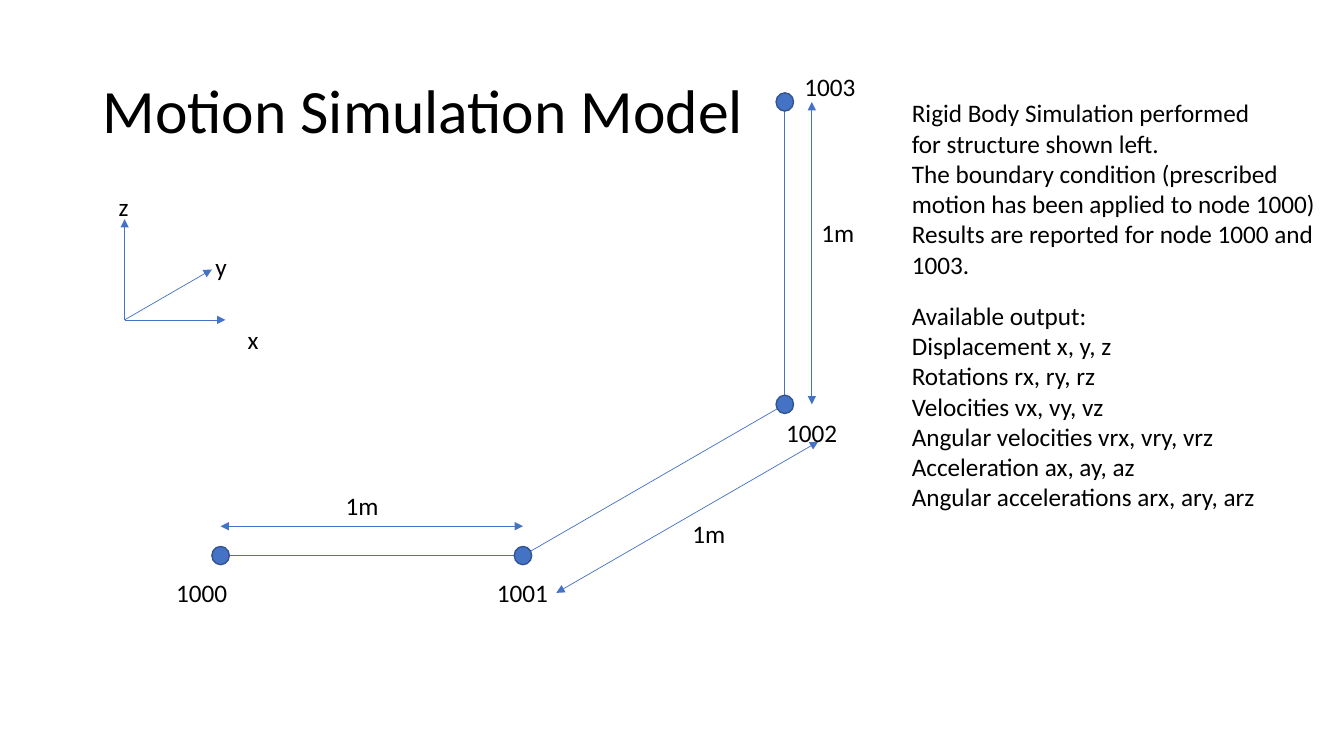
"""Build the slide that shows a rigid body motion model with its nodes and axes."""
from math import cos, radians, sin

from lxml import etree
from pptx import Presentation
from pptx.dml.color import RGBColor
from pptx.enum.shapes import MSO_CONNECTOR, MSO_SHAPE
from pptx.enum.text import MSO_ANCHOR, MSO_AUTO_SIZE
from pptx.oxml.ns import qn
from pptx.util import Cm, Pt

STRAIGHT = MSO_CONNECTOR.STRAIGHT
OVAL = MSO_SHAPE.OVAL
MIDDLE = MSO_ANCHOR.MIDDLE
GROW = MSO_AUTO_SIZE.SHAPE_TO_FIT_TEXT

COLORS = {"blue": "4472C4", "edge": "325491", "text": "000000"}
TITLE = "Motion Simulation Model"
METER = 7.62
AXIS = 2.54
NODE_W, NODE_H = 0.44, 0.46
LABEL_H = 1.03
START = (5.56, 14.0)
ORIGIN = (3.14, 8.06)

# fmt: off
MEMBERS = [
    {"angle": 0, "offset": (0, -0.74)},
    {"angle": 30, "offset": (0.84, 0.94)},
    {"angle": 90, "offset": (0.68, 0)},
]
# fmt: on
AXIS_ANGLES = [90, 0, 30]
LABELS = [
    ("1000", 4.19, 14.43, 1.8),
    ("1001", 12.27, 14.43, 1.8),
    ("1002", 19.56, 10.39, 1.8),
    ("1003", 20.02, 1.68, 1.8),
    ("1m", 8.46, 12.22, 1.35),
    ("1m", 20.45, 5.36, 1.35),
    ("1m", 17.2, 12.93, 1.35),
    ("x", 5.99, 8.05, 0.79),
    ("y", 5.18, 6.2, 0.81),
    ("z", 2.74, 4.7, 0.79),
]
SETUP = [
    "Rigid Body Simulation performed",
    "for structure shown left.",
    "The boundary condition (prescribed\vmotion has been applied to node 1000)",
    "Results are reported for node 1000 and",
    "1003.",
]
OUTPUT = [
    "Available output:",
    "Displacement x, y, z",
    "Rotations rx, ry, rz",
    "Velocities vx, vy, vz",
    "Angular velocities vrx, vry, vrz",
    "Acceleration ax, ay, az",
    "Angular accelerations arx, ary, arz",
]
NOTES = [(SETUP, 22.73, 2.34, 10.82, 4.88), (OUTPUT, 22.73, 7.44, 9.25, 5.64)]


def rgb(name):
    return RGBColor.from_string(COLORS[name])


def write(tf, lines, size):
    tf.text = "\n".join(lines)
    font = {"name": "Calibri", "size": Pt(size)}
    for p in tf.paragraphs:
        for r in p.runs:
            for key, value in font.items():
                setattr(r.font, key, value)
            r.font.color.rgb = rgb("text")


def add_text(s, lines, *box):
    tf = s.shapes.add_textbox(*map(Cm, box)).text_frame
    tf.word_wrap = False
    tf.auto_size = GROW
    write(tf, lines, 18)


def add_line(s, start, end, arrows=()):
    line = s.shapes.add_connector(STRAIGHT, *map(Cm, start + end))
    line.line.color.rgb = rgb("blue")
    line.line.width = Pt(0.5)
    ln = line.line._get_or_add_ln()
    for tag in arrows:
        etree.SubElement(ln, qn(tag), type="triangle")
    etree.SubElement(line._element.spPr, qn("a:effectLst"))


def add_node(s, x, y):
    box = (x - NODE_W / 2, y - NODE_H / 2, NODE_W, NODE_H)
    node = s.shapes.add_shape(OVAL, *map(Cm, box))
    node.shadow.inherit = False
    node.fill.solid()
    node.fill.fore_color.rgb = rgb("blue")
    node.line.color.rgb = rgb("edge")
    node.line.width = Pt(1)


def shift(point, dx, dy):
    return (point[0] + dx, point[1] + dy)


def along(point, length, angle):
    a = radians(angle)
    return shift(point, length * cos(a), -length * sin(a))


def main():
    prs = Presentation()
    prs.slide_width, prs.slide_height = Cm(33.87), Cm(19.05)
    s = prs.slides.add_slide(prs.slide_layouts[5])

    title = s.shapes.title
    box = {"left": 2.33, "top": 1.01, "width": 29.21, "height": 3.68}
    for key, value in box.items():
        setattr(title, key, Cm(value))
    tf = title.text_frame
    tf.vertical_anchor = MIDDLE
    write(tf, [TITLE], 44)
    p = tf.paragraphs[0]
    p.alignment = 1
    p.line_spacing = 0.9

    nodes = [START]
    for member in MEMBERS:
        nodes.append(along(nodes[-1], METER, member["angle"]))
    for member, start, end in zip(MEMBERS, nodes, nodes[1:]):
        offset = member["offset"]
        add_line(s, start, end)
        add_line(s, shift(start, *offset), shift(end, *offset),
                 ("a:headEnd", "a:tailEnd"))
    for node in nodes:
        add_node(s, *node)
    for angle in AXIS_ANGLES:
        add_line(s, ORIGIN, along(ORIGIN, AXIS, angle), ("a:tailEnd",))

    for text, x, y, width in LABELS:
        add_text(s, [text], x, y, width, LABEL_H)
    for lines, *box in NOTES:
        add_text(s, lines, *box)
    prs.save("out.pptx")


if __name__ == "__main__":
    main()
